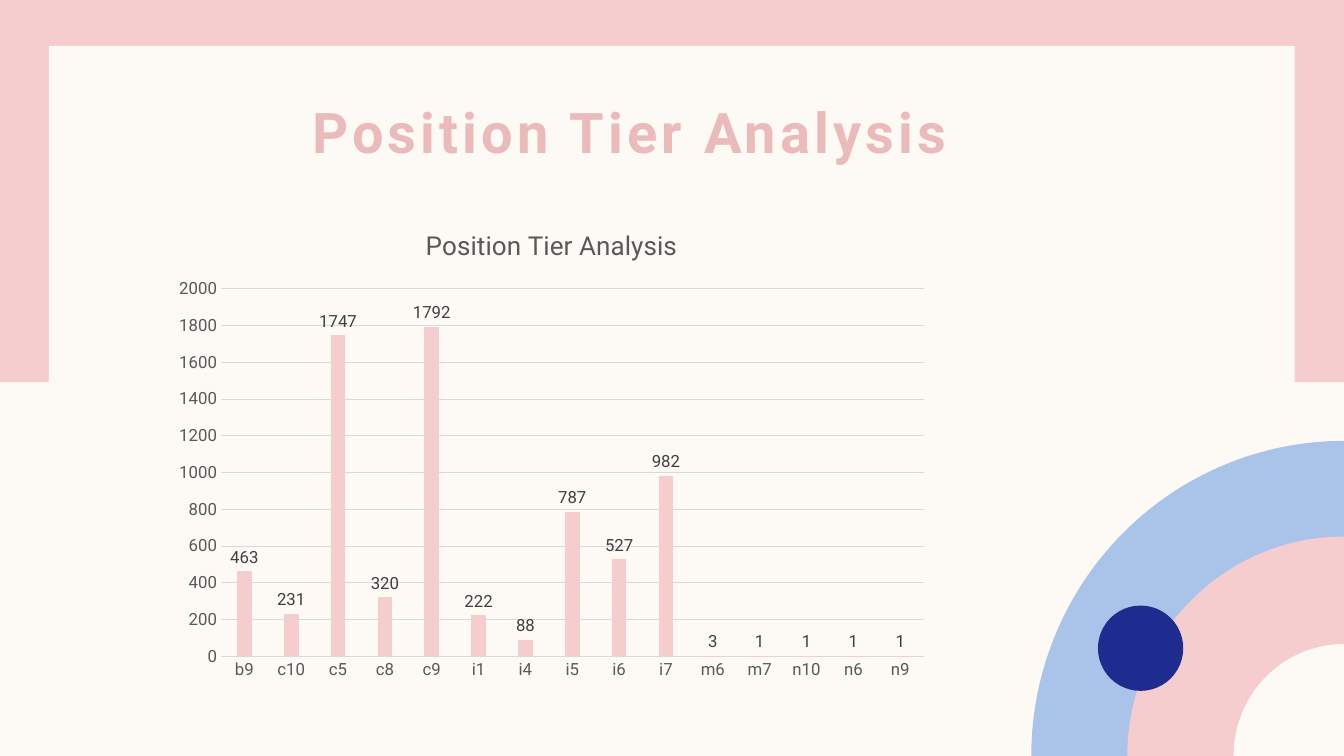
import pptx
import pptx.util
import pptx.chart.data
import pptx.dml.color
import pptx.enum.chart
import pptx.enum.shapes
import pptx.enum.text
import pptx.oxml
import pptx.oxml.ns

Cm = pptx.util.Cm
Pt = pptx.util.Pt
RGB = pptx.dml.color.RGBColor
SHAPE = pptx.enum.shapes.MSO_SHAPE
CHART = pptx.enum.chart

CREAM = RGB(0xFD, 0xFA, 0xF6)
PINK = RGB(0xF5, 0xCD, 0xCE)
ROSE = RGB(0xEB, 0xBA, 0xBA)
BLUE = RGB(0xAA, 0xC3, 0xE8)
NAVY = RGB(0x1F, 0x2C, 0x8F)
GRID = RGB(0xD9, 0xD9, 0xD9)
GREY = RGB(0x59, 0x59, 0x59)
DARK = RGB(0x40, 0x40, 0x40)
FONT = "Roboto"
WIDTH, HEIGHT = 33.87, 19.05
WIDE, HIGH = 19.56, 12.14


def draw(kind, left, top, width, height, color):
    shape = slide.shapes.add_shape(kind, Cm(left), Cm(top), Cm(width), Cm(height))
    shape.shadow.inherit = False
    shape.fill.solid()
    shape.fill.fore_color.rgb = color
    shape.line.fill.background()


def place(parent, follow, sizes, inner=False):
    for old in parent.findall(pptx.oxml.ns.qn("c:layout")):
        parent.remove(old)
    target = '<c:layoutTarget val="inner"/>' if inner else ""
    modes = '<c:xMode val="edge"/><c:yMode val="edge"/>'
    values = "".join(f'<c:{key} val="{size / (WIDE if key in "xw" else HIGH):.4f}"/>'
                     for key, size in sizes.items())
    layout = pptx.oxml.parse_xml(
        f'<c:layout {pptx.oxml.ns.nsdecls("c")}><c:manualLayout>'
        f"{target}{modes}{values}</c:manualLayout></c:layout>")
    follow.addprevious(layout)


deck = pptx.Presentation()
deck.slide_width, deck.slide_height = Cm(WIDTH), Cm(HEIGHT)
slide = deck.slides.add_slide(deck.slide_layouts[5])
slide.background.fill.solid()
slide.background.fill.fore_color.rgb = CREAM

draw(SHAPE.RECTANGLE, 0, 0, WIDTH, 9.63, PINK)
draw(SHAPE.RECTANGLE, 1.23, 1.16, 31.4, 16.74, CREAM)
for wide, high, color in [(7.88, 7.94, BLUE), (5.46, 5.53, PINK), (2.78, 2.82, CREAM)]:
    draw(SHAPE.PIE_WEDGE, WIDTH - wide, HEIGHT - high, wide, high, color)
draw(SHAPE.OVAL, 27.67, 15.26, 2.15, 2.15, NAVY)

title = slide.shapes.title
title.left, title.top, title.width, title.height = Cm(5.27), Cm(2.54), Cm(21.21), Cm(1.6)
text = title.text_frame
text.text = "Position Tier Analysis"
text.word_wrap = True
text.auto_size = pptx.enum.text.MSO_AUTO_SIZE.NONE
text.vertical_anchor = pptx.enum.text.MSO_ANCHOR.BOTTOM
text.margin_top = text.margin_bottom = 0
line = text.paragraphs[0]
line.alignment = pptx.enum.text.PP_ALIGN.CENTER
run = line.runs[0]
run.font.name, run.font.size, run.font.bold = FONT, Pt(40), True
run.font.color.rgb = ROSE
run.font._element.set("spc", "300")
title._element.getparent().append(title._element)

data = pptx.chart.data.CategoryChartData()
data.categories = ["b9", "c10", "c5", "c8", "c9", "i1", "i4", "i5", "i6", "i7",
                   "m6", "m7", "n10", "n6", "n9"]
data.add_series("Series 1", [463, 231, 1747, 320, 1792, 222, 88, 787, 527, 982,
                             3, 1, 1, 1, 1])
chart = slide.shapes.add_chart(CHART.XL_CHART_TYPE.COLUMN_CLUSTERED, Cm(4.11), Cm(5.26),
                               Cm(WIDE), Cm(HIGH), data).chart
chart.has_legend = False
chart.font.name, chart.font.size = FONT, Pt(10)

chart.has_title = True
head = chart.chart_title
head.include_in_layout = False
head.text_frame.text = "Position Tier Analysis"
label = head.text_frame.paragraphs[0].runs[0].font
label.name, label.size, label.bold = FONT, Pt(18.6), False
label.color.rgb = GREY
overlay = head._element.find(pptx.oxml.ns.qn("c:overlay"))
place(head._element, overlay, {"x": 6.5, "y": 0.38})

plot = chart.plots[0]
plot.vary_by_categories = False
plot.gap_width, plot.overlap = 219, -27
bars = plot.series[0]
bars.invert_if_negative = False
bars.format.fill.solid()
bars.format.fill.fore_color.rgb = PINK
bars.format.line.fill.background()
plot.has_data_labels = True
labels = plot.data_labels
labels.show_value = True
labels.position = CHART.XL_LABEL_POSITION.OUTSIDE_END
labels.font.name, labels.font.size = FONT, Pt(12)
labels.font.color.rgb = DARK

tiers, counts = chart.category_axis, chart.value_axis
for axis in (tiers, counts):
    axis.major_tick_mark = axis.minor_tick_mark = CHART.XL_TICK_MARK.NONE
    axis.tick_labels.font.name, axis.tick_labels.font.size = FONT, Pt(12)
    axis.tick_labels.font.color.rgb = GREY
counts.minimum_scale, counts.maximum_scale, counts.major_unit = 0, 2000, 200
counts.format.line.fill.background()
counts.has_major_gridlines = True
for rule in (tiers.format.line, counts.major_gridlines.format.line):
    rule.color.rgb = GRID
    rule.width = Pt(0.75)

area = plot._element.getparent()
place(area, plot._element, {"x": 1.46, "y": 2.02, "w": 17.71, "h": 9.26}, inner=True)

deck.save("out.pptx")
